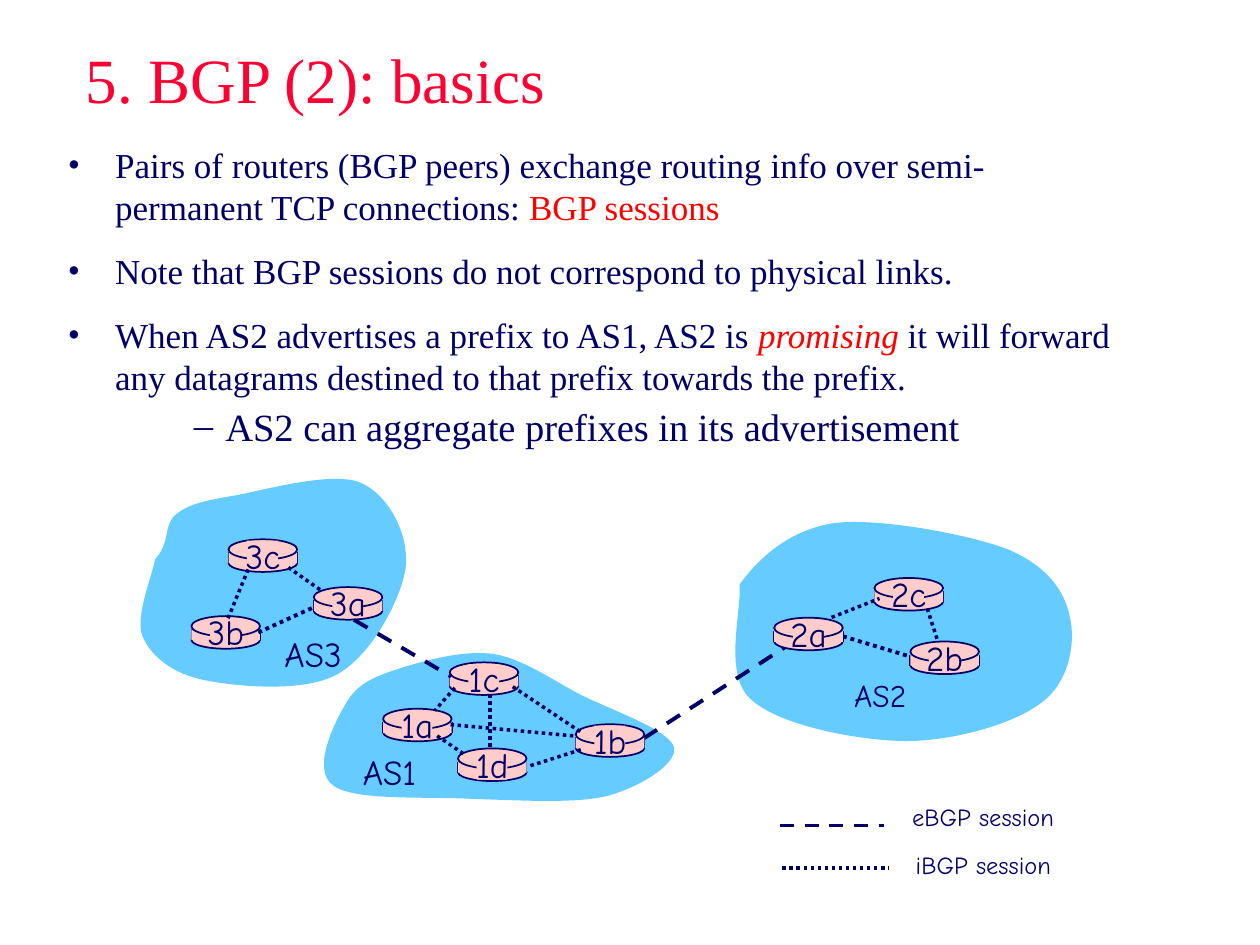
"""Build a slide on BGP sessions between three autonomous systems."""
from dataclasses import dataclass
from typing import Any

from lxml.etree import SubElement
from pptx import Presentation
from pptx.dml.color import RGBColor
from pptx.enum.dml import MSO_LINE_DASH_STYLE as Dash
from pptx.enum.shapes import MSO_CONNECTOR as Connector, MSO_SHAPE as Preset
from pptx.enum.text import MSO_ANCHOR as Anchor, MSO_AUTO_SIZE as Fit, PP_ALIGN as Align
from pptx.oxml.ns import qn
from pptx.util import Pt

NAVY, PINK, SKY, RED, CRIMSON = "000066", "FFCCCC", "66CCFF", "FF0000", "FF0033"
SERIF, COMIC = "Times New Roman", "Comic Neue"
ROUTER_WIDTH, NAME_WIDTH = 39.2, 38
UNITS_PER_POINT = 100
FITTED = {"word_wrap": False, "auto_size": Fit.SHAPE_TO_FIT_TEXT}

Point = tuple[float, float]


@dataclass(frozen=True)
class Router:
    name: str
    left: float
    top: float
    patch_drop: float
    patch_height: float


@dataclass(frozen=True)
class Link:
    start: Point
    end: Point
    width: float = 2
    dash: Any = Dash.ROUND_DOT


@dataclass(frozen=True)
class Label:
    text: str
    left: float
    top: float
    width: float
    height: float
    size: float


@dataclass(frozen=True)
class Span:
    text: str
    colour: str = NAVY
    italic: bool = False


@dataclass(frozen=True)
class Bullet:
    spans: tuple[Span, ...]
    mark: str = "•"
    size: float = 20
    indent: float = 27
    hanging: float = 27
    before: float = 12.5
    spacing: float = 1.0


CLOUDS = (
    [(422.6, 334.1), (433.4, 319), (451.4, 302.4), (477.4, 298.8), (502.6, 295.9),
     (553.7, 305.3), (576, 313.9), (598.3, 323.3), (608.4, 337.7), (611.3, 352.1),
     (614.9, 366.5), (611.3, 390.2), (594.7, 401.8), (578.9, 414), (542.9, 424.1),
     (514.8, 423.4), (487.4, 422.6), (443.5, 414), (428.4, 398.9), (413.3, 384.5),
     (424.1, 347.8), (422.6, 334.1)],
    [(88.6, 319.7), (97.9, 309.6), (92.9, 300.2), (100.8, 293.8), (108, 288),
     (118.1, 285.8), (135.4, 283), (153.4, 279.4), (190.1, 269.3), (205.9, 275.8),
     (222.5, 283), (234, 306), (231.8, 324.7), (229, 342.7), (212.4, 374.4),
     (193, 385.2), (174.2, 396), (135.4, 392.4), (117.4, 388.8), (98.6, 385.2),
     (86.4, 375.1), (81.4, 363.6), (77, 352.1), (87.1, 329), (88.6, 319.7)],
    [(198.7, 400.3), (205.9, 388.8), (218.2, 385.2), (231.8, 380.9), (246.2, 376.6),
     (265.7, 371.5), (282.2, 373.7), (298.8, 376.6), (313.9, 387.4), (331.2, 396.7),
     (348.5, 405.4), (382.3, 416.9), (385.2, 427), (387.4, 436.3), (365.8, 450),
     (346.3, 455), (327.6, 459.4), (295.2, 457.2), (269.3, 456.5), (243.4, 455),
     (201.6, 457.9), (190.1, 448.6), (177.8, 439.2), (191.5, 411.8), (198.7, 400.3)],
)
BACK_ROUTERS = (
    Router("3b", 109.4, 352.1, 1.4, 16), Router("1d", 261.7, 427.7, 1.4, 16.5),
    Router("3a", 179.3, 335.5, 2, 13.7), Router("1c", 257, 378.5, 1, 16.5),
)
FRONT_ROUTERS = (
    Router("2a", 442.4, 353, 2, 15), Router("1a", 218.9, 405, 4, 12.2),
    Router("2c", 499.7, 330.3, 1.5, 14.4), Router("2b", 520.2, 366.6, 1.4, 13.7),
    Router("1b", 329, 413.9, 0.8, 16.5), Router("3c", 130.6, 308.2, 0.8, 16),
)
BACK_LINKS = (
    Link((481.7, 363.6), (519.8, 375.1), 2.25),
    Link((147.6, 361.4), (179.3, 347), 2.25),
    Link((202.3, 354.2), (257.8, 386.6), 2.25, Dash.DASH),
    Link((367.9, 421.9), (449.3, 369.4), 2.25, Dash.DASH),
)
FRONT_LINKS = (
    Link((259.9, 393.1), (248.4, 406.1)), Link((280.1, 396.7), (280.1, 427)),
    Link((293, 392.4), (331.9, 418.3)), Link((331.9, 428.4), (302.4, 437.8)),
    Link((327.6, 420.5), (257, 414)), Link((475.2, 352.8), (502.6, 342)),
    Link((445.7, 471.6), (505.4, 471.6), dash=Dash.DASH),
    Link((447.1, 496.1), (507.6, 496.1)), Link((182.9, 337), (163.4, 323.3)),
    Link((141.8, 325.4), (129.6, 355)), Link((529.9, 347.8), (535.7, 365.8)),
    Link((249.8, 420.5), (265.7, 431.3)),
)
LABELS = (
    Label("AS3", 155.5, 357.8, 50, 31.7, 20), Label("AS1", 200.2, 425.5, 48, 31.7, 20),
    Label("AS2", 481, 383, 47, 28.8, 18),
    Label("eBGP session", 514.1, 455, 99, 24.5, 14),
    Label("iBGP session", 516.2, 482.4, 95, 24.5, 14),
)
BULLETS = (
    Bullet((Span("Pairs of routers (BGP peers) exchange routing info over "
                 "semi-permanent TCP connections: "), Span("BGP sessions", RED))),
    Bullet((Span("Note that BGP sessions do not correspond to physical links."),)),
    Bullet((Span("When AS2 advertises a prefix to AS1, AS2 is "), Span("promising", RED, True),
            Span(" it will forward any datagrams destined to that prefix towards the prefix."))),
    Bullet((Span("AS2 can aggregate prefixes in its advertisement"),),
           "–", 22, 90, 18, 8.2, 0.8),
)


def apply(target: Any, values: dict[str, Any]) -> None:
    for name, value in values.items():
        setattr(target, name, value)


def paint(colour_format: Any, colour: str) -> None:
    colour_format.rgb = RGBColor.from_string(colour)


def finish(shape: Any, fill: str, outline: str | None = None) -> None:
    shape.shadow.inherit = False
    shape.fill.solid()
    paint(shape.fill.fore_color, fill)
    if outline:
        paint(shape.line.color, outline)
        shape.line.width = Pt(1)
    else:
        shape.line.fill.background()


def add_preset(page: Any, preset: Any, frame: tuple[float, ...], outline: str | None = None) -> None:
    finish(page.shapes.add_shape(preset, *map(Pt, frame)), PINK, outline)


def add_line(page: Any, start: Point, end: Point, width: float = 1, dash: Any = None) -> None:
    line = page.shapes.add_connector(Connector.STRAIGHT, *map(Pt, (*start, *end)))
    paint(line.line.color, NAVY)
    apply(line.line, {"width": Pt(width), "dash_style": dash})
    SubElement(line._element.spPr, qn("a:effectLst"))


def add_link(page: Any, link: Link) -> None:
    add_line(page, link.start, link.end, link.width, link.dash)


def add_box(page: Any, frame: tuple[float, ...], values: dict[str, Any]) -> Any:
    box = page.shapes.add_textbox(*map(Pt, frame))
    apply(box.text_frame, values)
    return box.text_frame


def add_span(para: Any, span: Span, size: float, font: str) -> None:
    run = para.add_run()
    run.text = span.text
    apply(run.font, {"name": font, "size": Pt(size), "italic": span.italic})
    paint(run.font.color, span.colour)


def add_label(page: Any, label: Label, align: Any = Align.LEFT) -> None:
    frame = (label.left, label.top, label.width, label.height)
    para = add_box(page, frame, FITTED).paragraphs[0]
    para.alignment = align
    add_span(para, Span(label.text), label.size, COMIC)


def add_bullet(para: Any, bullet: Bullet) -> None:
    apply(para, {"space_before": Pt(bullet.before), "line_spacing": bullet.spacing})
    properties = para._p.get_or_add_pPr()
    properties.set("marL", str(Pt(bullet.indent)))
    properties.set("indent", str(-Pt(bullet.hanging)))
    SubElement(SubElement(properties, qn("a:buClr")), qn("a:srgbClr"), val=NAVY)
    SubElement(properties, qn("a:buFont"), typeface=SERIF)
    SubElement(properties, qn("a:buChar"), char=bullet.mark)
    for span in bullet.spans:
        add_span(para, span, bullet.size, SERIF)


def add_cloud(page: Any, nodes: list[Point]) -> None:
    units = [(x * UNITS_PER_POINT, y * UNITS_PER_POINT) for x, y in nodes]
    builder = page.shapes.build_freeform(*units[0], scale=Pt(1) / UNITS_PER_POINT)
    builder.add_line_segments(units[1:], close=True)
    cloud = builder.convert_to_shape()
    segments = list(cloud._element.iter(qn("a:lnTo")))
    for first, second, third in zip(segments[::3], segments[1::3], segments[2::3]):
        first.tag = qn("a:cubicBezTo")
        for segment in (second, third):
            first.append(segment[0])
            segment.getparent().remove(segment)
    finish(cloud, SKY)


def add_router(page: Any, router: Router) -> None:
    left, top = router.left, router.top
    add_preset(page, Preset.OVAL, (left, top + 8.6, ROUTER_WIDTH, 10), NAVY)
    for side in (left, left + ROUTER_WIDTH):
        add_line(page, (side, top + 7.5), (side, top + 13.8))
    add_preset(page, Preset.RECTANGLE, (left, top + 7.5, ROUTER_WIDTH, 6.3))
    add_preset(page, Preset.OVAL, (left, top, ROUTER_WIDTH, 11.5), NAVY)
    add_preset(page, Preset.RECTANGLE, (left + 10.6, top + router.patch_drop, 17.6, router.patch_height))
    name_left = left + (ROUTER_WIDTH - NAME_WIDTH) / 2
    add_label(page, Label(router.name, name_left, top - 6.5, NAME_WIDTH, 31.7, 20), Align.CENTER)


def main() -> None:
    deck = Presentation()
    apply(deck, {"slide_width": Pt(720), "slide_height": Pt(540)})
    page = deck.slides.add_slide(deck.slide_layouts[6])
    title = add_box(page, (42, 0, 612, 90), {"word_wrap": True, "vertical_anchor": Anchor.MIDDLE})
    add_span(title.paragraphs[0], Span("5. BGP (2): basics", CRIMSON), 36, SERIF)
    body = add_box(page, (31.7, 78.5, 622, 182), {"word_wrap": True})
    for index, bullet in enumerate(BULLETS):
        add_bullet(body.add_paragraph() if index else body.paragraphs[0], bullet)
    layers = ((add_cloud, CLOUDS), (add_router, BACK_ROUTERS), (add_link, BACK_LINKS),
              (add_router, FRONT_ROUTERS), (add_link, FRONT_LINKS), (add_label, LABELS))
    for draw, items in layers:
        for item in items:
            draw(page, item)
    deck.save("out.pptx")


if __name__ == "__main__":
    main()
